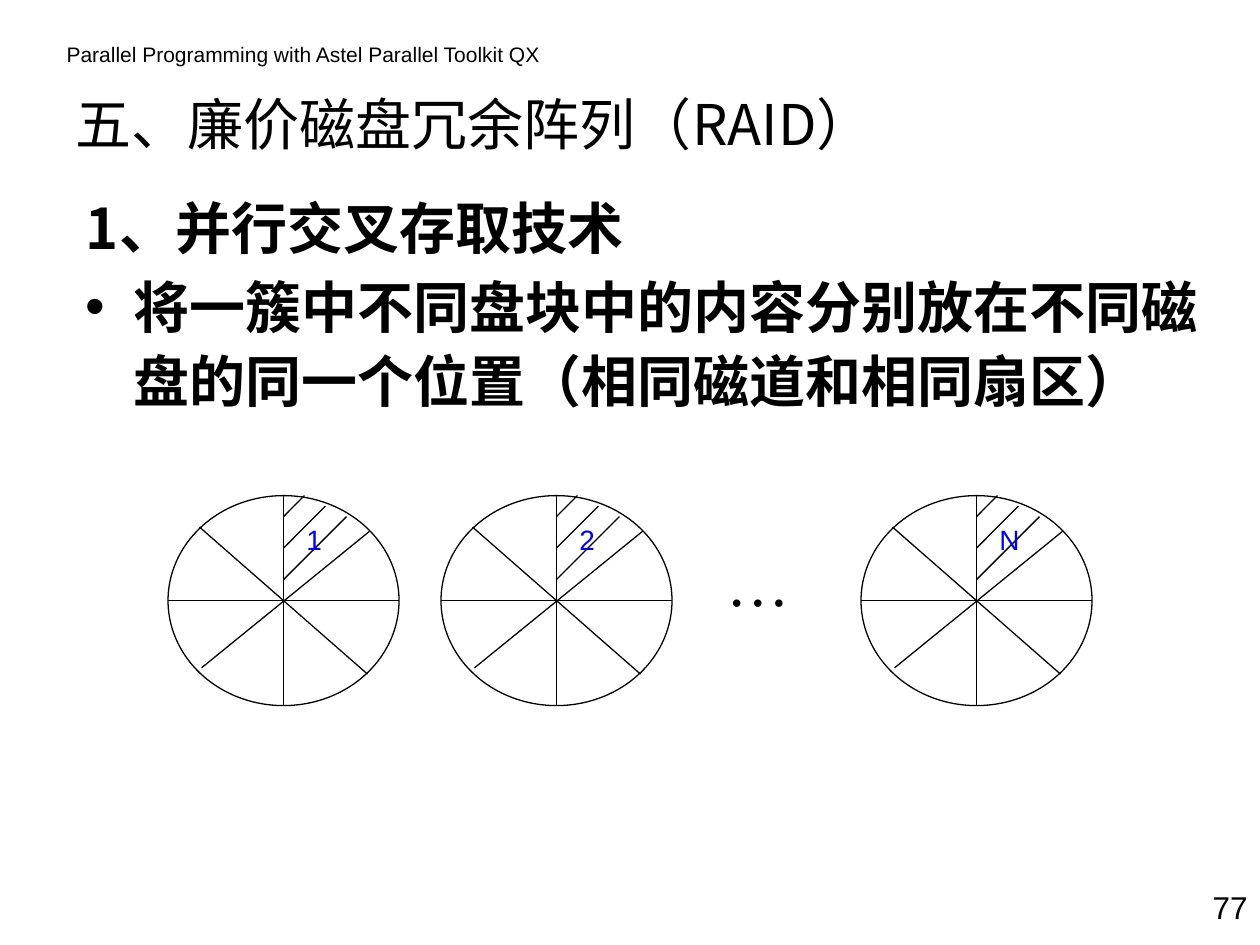
import pptx
import pptx.dml.color
import pptx.enum.shapes
import pptx.enum.text
import pptx.oxml
import pptx.oxml.ns
import pptx.util

Pt = pptx.util.Pt
ALIGN = pptx.enum.text.PP_ALIGN
ANCHOR = pptx.enum.text.MSO_ANCHOR
COLORS = {"ink": "000000", "label": "0000FF"}
CJK = "Noto Sans CJK SC"
LINE_WIDTH = 0.75
DISK_TOP, DISK_WIDTH, DISK_HEIGHT = 283.2, 132, 120
DISKS = [("1", 96), ("2", 252), ("N", 492)]
CENTER_X, CENTER_Y = DISK_WIDTH / 2, DISK_HEIGHT / 2

SPOKES = [
    (18, 18, 114, 102),
    (0, CENTER_Y, DISK_WIDTH, CENTER_Y),
    (CENTER_X, 0, CENTER_X, DISK_HEIGHT),
    (115.2, 20.4, 19.2, 98.4),
]
HATCHES = [(78 + 12 * i, 6 * i, CENTER_X, 12 + 18 * i) for i in range(3)]


def rgb(name):
    return pptx.dml.color.RGBColor.from_string(COLORS[name])


def sub_element(parent, tag, **attributes):
    child = pptx.oxml.parse_xml(f"<{tag} {pptx.oxml.ns.nsdecls('a')}/>")
    for key, value in attributes.items():
        child.set(key, value)
    parent.append(child)


def format_paragraph(paragraph, size, font="Arial", color="ink", bold=False, align=ALIGN.LEFT):
    paragraph.alignment = align
    paragraph.font.size = Pt(size)
    paragraph.font.bold = bold
    paragraph.font.color.rgb = rgb(color)
    paragraph.font.name = font
    if font == CJK:
        sub_element(paragraph.font._element, "a:ea", typeface=font)


def add_text(shapes, text, box, size, **style):
    frame = shapes.add_textbox(*map(Pt, box)).text_frame
    frame.word_wrap = True
    frame.text = text
    format_paragraph(frame.paragraphs[0], size, **style)


def add_title(slide, text):
    title = slide.shapes.title
    title.left, title.top, title.width, title.height = map(Pt, (36, 43.2, 516, 54))
    frame = title.text_frame
    frame.text = text
    frame.auto_size = pptx.enum.text.MSO_AUTO_SIZE.NONE
    frame.vertical_anchor = ANCHOR.MIDDLE
    format_paragraph(frame.paragraphs[0], 32, font=CJK)


def add_body(slide, heading, bullet):
    frame = slide.shapes.add_textbox(*map(Pt, (42, 103, 666, 162))).text_frame
    frame.word_wrap = True
    frame.text = f"{heading}\n{bullet}"
    for paragraph in frame.paragraphs:
        paragraph.line_spacing = 1.1
        properties = paragraph._p.get_or_add_pPr()
        properties.set("marL", str(Pt(27)))
        properties.set("indent", str(-Pt(27)))
    bullet_paragraph = frame.paragraphs[1]
    bullet_paragraph.space_before = Pt(3.2)
    sub_element(bullet_paragraph._p.pPr, "a:buFont", typeface="Arial")
    sub_element(bullet_paragraph._p.pPr, "a:buChar", char="•")
    for paragraph in frame.paragraphs:
        format_paragraph(paragraph, 32, font=CJK, bold=True)


def add_line(shapes, x1, y1, x2, y2):
    line = shapes.add_connector(
        pptx.enum.shapes.MSO_CONNECTOR.STRAIGHT, Pt(x1), Pt(y1), Pt(x2), Pt(y2))
    line.line.color.rgb = rgb("ink")
    line.line.width = Pt(LINE_WIDTH)
    sub_element(line._element.spPr, "a:effectLst")


def add_disk(slide, label, left):
    """Group a platter, its sector lines and the hatched, labelled sector."""
    shapes = slide.shapes.add_group_shape().shapes
    platter = shapes.add_shape(
        pptx.enum.shapes.MSO_SHAPE.OVAL,
        *map(Pt, (left, DISK_TOP, DISK_WIDTH, DISK_HEIGHT)))
    platter.shadow.inherit = False
    platter.fill.background()
    platter.line.color.rgb = rgb("ink")
    platter.line.width = Pt(LINE_WIDTH)
    for x1, y1, x2, y2 in SPOKES + HATCHES:
        add_line(shapes, left + x1, DISK_TOP + y1, left + x2, DISK_TOP + y2)
    add_text(shapes, label, (left + 72, DISK_TOP + 12, 24, 26.6), 16, color="label")


def main():
    presentation = pptx.Presentation()
    presentation.slide_width, presentation.slide_height = Pt(720), Pt(540)
    slide = presentation.slides.add_slide(presentation.slide_layouts[5])
    add_text(slide.shapes, "Parallel Programming with Astel Parallel Toolkit QX",
             (31, 20.2, 295.2, 21.6), 12)
    add_title(slide, "五、廉价磁盘冗余阵列（RAID）")
    add_body(slide, "1、并行交叉存取技术",
             "将一簇中不同盘块中的内容分别放在不同磁盘的同一个位置（相同磁道和相同扇区）")
    add_text(slide.shapes, "77", (672, 504, 48, 36), 18, align=ALIGN.RIGHT)
    for label, left in DISKS:
        add_disk(slide, label, left)
    add_text(slide.shapes, "…", (408, 307.2, 54, 50.4), 36, font="Times New Roman")
    presentation.save("out.pptx")


if __name__ == "__main__":
    main()
